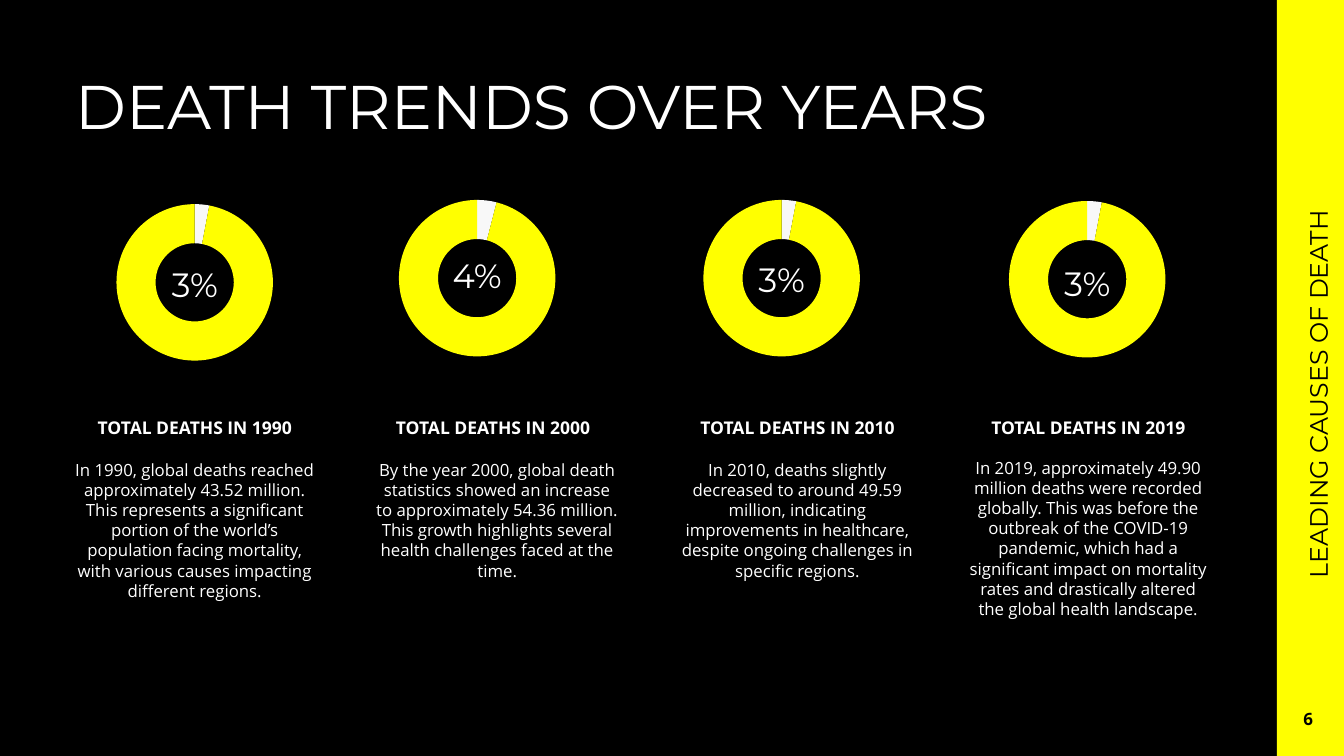
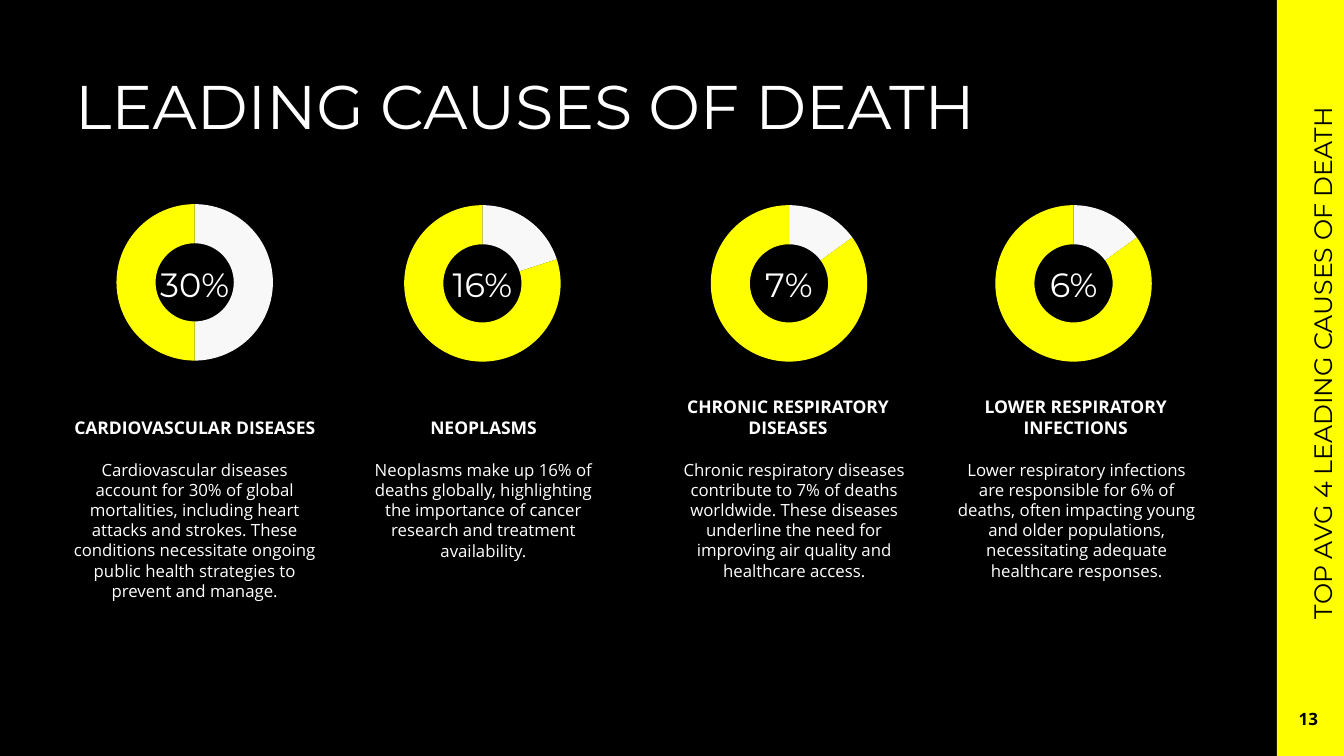
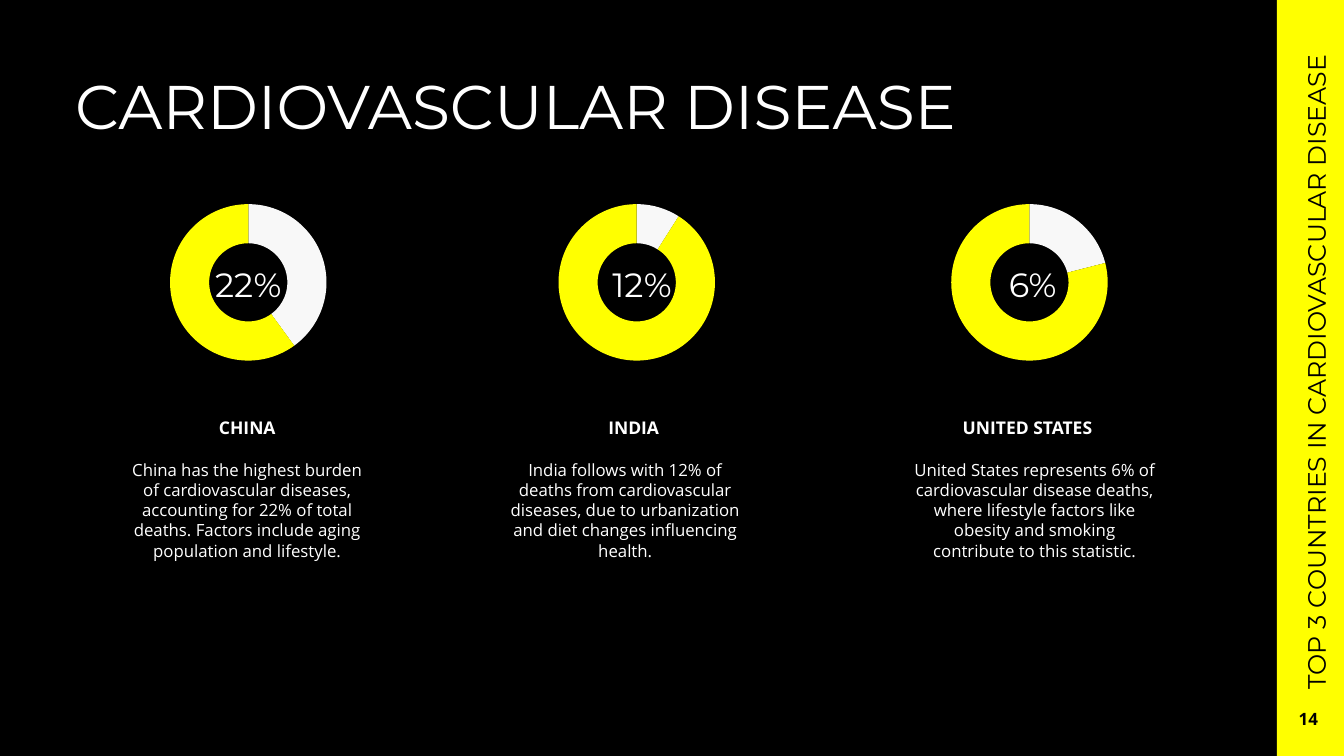
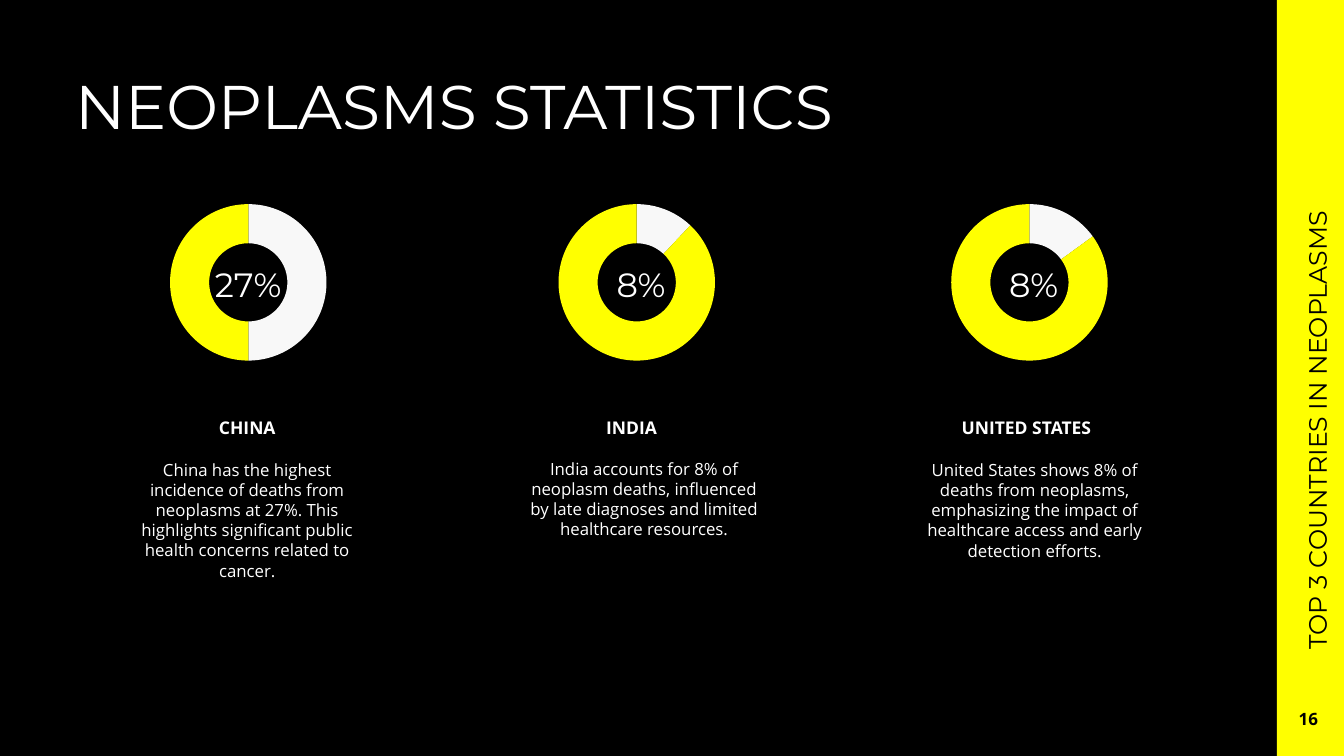
from dataclasses import dataclass

from pptx import Presentation
from pptx.chart.data import CategoryChartData
from pptx.dml.color import RGBColor
from pptx.enum.chart import XL_CHART_TYPE
from pptx.enum.shapes import MSO_SHAPE
from pptx.enum.text import MSO_ANCHOR, MSO_AUTO_SIZE, PP_ALIGN
from pptx.oxml import parse_xml
from pptx.oxml.ns import nsdecls, qn
from pptx.util import Pt

DOUGHNUT = XL_CHART_TYPE.DOUGHNUT
RECTANGLE = MSO_SHAPE.RECTANGLE
TOP, MIDDLE, BOTTOM = MSO_ANCHOR.TOP, MSO_ANCHOR.MIDDLE, MSO_ANCHOR.BOTTOM
LEFT, CENTER = PP_ALIGN.LEFT, PP_ALIGN.CENTER
NO_AUTOFIT = MSO_AUTO_SIZE.NONE

EMU_PER_PX = 9525
PAGE_WIDTH, PAGE_HEIGHT = 1280, 720
BAND_WIDTH = 64
RING_WIDTH, RING_HEIGHT = 213, 176
FIGURE_WIDTH, FIGURE_HEIGHT = 96, 48
COLUMN_WIDTH = 251
HEADING_TOP, HEADING_HEIGHT = 371, 51
LABEL_HEIGHT = 38

BLACK = RGBColor(0x00, 0x00, 0x00)
WHITE = RGBColor(0xFF, 0xFF, 0xFF)
YELLOW = RGBColor(0xFF, 0xFF, 0x00)
PALE = RGBColor(0xF8, 0xF8, 0xF8)
RING_LINE = RGBColor(0xF9, 0xF9, 0xF9)

DISPLAY_FONT = "Montserrat"
TEXT_FONT = "Open Sans"


@dataclass
class Statistic:
    figure: str
    share: int
    heading: str
    body: str
    ring_left: int
    heading_left: int
    body_left: int
    body_height: int = 107
    ring_top: int = 181
    figure_top: int = 247
    figure_shift: int = 0
    body_top: int = 433


@dataclass
class Topic:
    title: str
    number: str
    label: str
    label_left: int
    label_bottom: int
    label_length: int
    statistics: list


TOPICS = [
    Topic("DEATH TRENDS OVER YEARS", "6", "LEADING CAUSES OF DEATH", 1236, 560, 432, [
        Statistic("3%", 3, "TOTAL DEATHS IN 1990",
                  "In 1990, global deaths reached approximately 43.52 million. This represents "
                  "a significant portion of the world’s population facing mortality, with "
                  "various causes impacting different regions.",
                  79, 60, 60, 252),
        Statistic("4%", 4, "TOTAL DEATHS IN 2000",
                  "By the year 2000, global death statistics showed an increase to "
                  "approximately 54.36 million. This growth highlights several health "
                  "challenges faced at the time.",
                  348, 344, 348, 252, ring_top=177, figure_top=238),
        Statistic("3%", 3, "TOTAL DEATHS IN 2010",
                  "In 2010, deaths slightly decreased to around 49.59 million, indicating "
                  "improvements in healthcare, despite ongoing challenges in specific regions.",
                  638, 634, 634, 252, ring_top=177, figure_top=242),
        Statistic("3%", 3, "TOTAL DEATHS IN 2019",
                  "In 2019, approximately 49.90 million deaths were recorded globally. This was "
                  "before the outbreak of the COVID-19 pandemic, which had a significant impact "
                  "on mortality rates and drastically altered the global health landscape.",
                  929, 911, 911, 165, ring_top=178, figure_top=246, body_top=431),
    ]),
    Topic("LEADING CAUSES OF DEATH", "13", "TOP AVG 4 LEADING CAUSES OF DEATH", 1240, 599, 540, [
        Statistic("30%", 50, "CARDIOVASCULAR DISEASES",
                  "Cardiovascular diseases account for 30% of global mortalities, including "
                  "heart attacks and strokes. These conditions necessitate ongoing public "
                  "health strategies to prevent and manage.",
                  79, 60, 60, 145),
        Statistic("16%", 20, "NEOPLASMS",
                  "Neoplasms make up 16% of deaths globally, highlighting the importance of "
                  "cancer research and treatment availability.",
                  353, 335, 335, ring_top=182),
        Statistic("7%", 15, "CHRONIC RESPIRATORY DISEASES",
                  "Chronic respiratory diseases contribute to 7% of deaths worldwide. These "
                  "diseases underline the need for improving air quality and healthcare access.",
                  645, 625, 631, 126, ring_top=182),
        Statistic("6%", 15, "LOWER RESPIRATORY INFECTIONS",
                  "Lower respiratory infections are responsible for 6% of deaths, often "
                  "impacting young and older populations, necessitating adequate healthcare "
                  "responses.",
                  916, 899, 900, 126, ring_top=182),
    ]),
    Topic("CARDIOVASCULAR DISEASE", "14", "TOP 3 COUNTRIES IN CARDIOVASCULAR DISEASE",
          1234, 666, 666, [
        Statistic("22%", 40, "CHINA",
                  "China has the highest burden of cardiovascular diseases, accounting for 22% "
                  "of total deaths. Factors include aging population and lifestyle.",
                  130, 110, 110),
        Statistic("12%", 9, "INDIA",
                  "India follows with 12% of deaths from cardiovascular diseases, due to "
                  "urbanization and diet changes influencing health.",
                  500, 478, 470, figure_shift=5),
        Statistic("6%", 21, "UNITED STATES",
                  "United States represents 6% of cardiovascular disease deaths, where "
                  "lifestyle factors like obesity and smoking contribute to this statistic.",
                  874, 853, 860, figure_shift=3),
    ]),
    Topic("NEOPLASMS STATISTICS", "16", "TOP 3 COUNTRIES IN NEOPLASMS", 1235, 628, 666, [
        Statistic("27%", 50, "CHINA",
                  "China has the highest incidence of deaths from neoplasms at 27%. This "
                  "highlights significant public health concerns related to cancer.",
                  130, 110, 110, 126),
        Statistic("8%", 12, "INDIA",
                  "India accounts for 8% of neoplasm deaths, influenced by late diagnoses and "
                  "limited healthcare resources.",
                  500, 476, 488, 87, figure_shift=4, body_top=432),
        Statistic("8%", 15, "UNITED STATES",
                  "United States shows 8% of deaths from neoplasms, emphasizing the impact of "
                  "healthcare access and early detection efforts.",
                  874, 852, 860, figure_shift=4),
    ]),
]


def px(*lengths):
    return [round(length * EMU_PER_PX) for length in lengths]


def write(shape, text, size=12, font=TEXT_FONT, color=WHITE, bold=False, align=CENTER, anchor=TOP):
    frame = shape.text_frame
    frame.word_wrap = True
    frame.auto_size = NO_AUTOFIT
    frame.vertical_anchor = anchor
    para = frame.paragraphs[0]
    para.alignment = align
    span = para.add_run()
    span.text = text
    span.font.name = font
    span.font.size = Pt(size)
    span.font.bold = bold
    span.font.color.rgb = color


def add_text(page, left, top, width, height, text, **style):
    box = page.shapes.add_textbox(*px(left, top, width, height))
    write(box, text, **style)
    return box


def add_band(page):
    band = page.shapes.add_shape(
        RECTANGLE, *px(PAGE_WIDTH - BAND_WIDTH, 0, BAND_WIDTH, PAGE_HEIGHT))
    band.shadow.inherit = False
    band.fill.solid()
    band.fill.fore_color.rgb = YELLOW
    band.line.fill.background()


def add_side_label(page, topic):
    left = topic.label_left + (LABEL_HEIGHT - topic.label_length) / 2
    top = topic.label_bottom - (topic.label_length + LABEL_HEIGHT) / 2
    box = add_text(page, left, top, topic.label_length, LABEL_HEIGHT, topic.label,
                   size=18, font=DISPLAY_FONT, color=BLACK, align=LEFT)
    box.rotation = 270


def set_ring_geometry(chart):
    for hole in chart.element.iter(qn("c:holeSize")):
        hole.set("val", "90")
    plot_area = chart.element.find(".//" + qn("c:plotArea"))
    for layout in plot_area.findall(qn("c:layout")):
        plot_area.remove(layout)
    plot_area.insert(0, parse_xml(
        f'<c:layout {nsdecls("c")}><c:manualLayout><c:layoutTarget val="inner"/>'
        '<c:xMode val="edge"/><c:yMode val="edge"/><c:x val="0.15"/><c:y val="0.07"/>'
        '<c:w val="0.7"/><c:h val="0.86"/></c:manualLayout></c:layout>'))


def add_ring(page, left, top, share):
    data = CategoryChartData()
    data.categories = ["1", "2"]
    data.add_series("Series 1", [share, 100 - share])
    chart = page.shapes.add_chart(DOUGHNUT, *px(left, top, RING_WIDTH, RING_HEIGHT), data).chart
    chart.has_legend = False
    chart.has_title = False
    chart.font.name = TEXT_FONT
    chart.font.size = Pt(10)
    chart.font.color.rgb = WHITE
    plot = chart.plots[0]
    plot.vary_by_categories = True
    plot.has_data_labels = False
    series = plot.series[0]
    series.format.line.color.rgb = RING_LINE
    series.format.line.width = Pt(0.75)
    for index, color in enumerate([PALE, YELLOW]):
        fill = series.points[index].format.fill
        fill.solid()
        fill.fore_color.rgb = color
    set_ring_geometry(chart)


def add_statistic(page, item):
    add_ring(page, item.ring_left, item.ring_top, item.share)
    figure_left = item.ring_left + (RING_WIDTH - FIGURE_WIDTH) / 2 + item.figure_shift
    add_text(page, figure_left, item.figure_top, FIGURE_WIDTH, FIGURE_HEIGHT, item.figure,
             size=24, font=DISPLAY_FONT, anchor=MIDDLE)
    add_text(page, item.heading_left, HEADING_TOP, COLUMN_WIDTH, HEADING_HEIGHT, item.heading,
             size=12.5, bold=True, anchor=BOTTOM)
    add_text(page, item.body_left, item.body_top, COLUMN_WIDTH, item.body_height, item.body)


def add_topic(deck, topic):
    page = deck.slides.add_slide(deck.slide_layouts.get_by_name("Title Only"))
    add_band(page)
    title = page.shapes.title
    title.left, title.top, title.width, title.height = px(62, 60, 1088, 100)
    write(title, topic.title, size=44, font=DISPLAY_FONT, align=LEFT)
    for item in topic.statistics:
        add_statistic(page, item)
    add_side_label(page, topic)
    add_text(page, 1214, 666, BAND_WIDTH, 37, topic.number,
             size=12.1, color=BLACK, bold=True, anchor=MIDDLE)


def main():
    deck = Presentation()
    deck.slide_width, deck.slide_height = px(PAGE_WIDTH, PAGE_HEIGHT)
    background = deck.slide_master.background.fill
    background.solid()
    background.fore_color.rgb = BLACK
    for topic in TOPICS:
        add_topic(deck, topic)
    deck.save("out.pptx")


if __name__ == "__main__":
    main()
